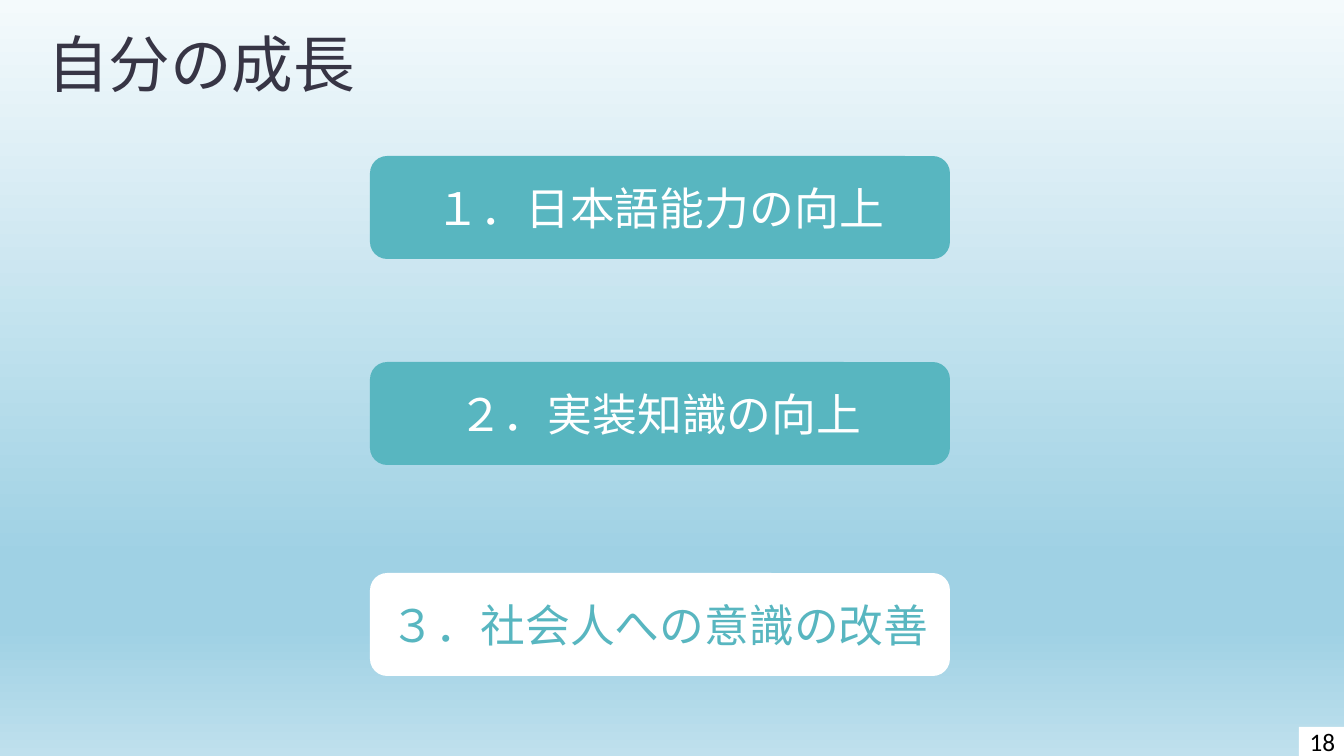
from copy import deepcopy

from pptx import Presentation
from pptx.dml.color import RGBColor
from pptx.enum.shapes import MSO_SHAPE
from pptx.enum.text import MSO_ANCHOR, MSO_AUTO_SIZE, PP_ALIGN
from pptx.oxml.ns import qn
from pptx.util import Emu, Pt

RECTANGLE, ROUNDED = MSO_SHAPE.RECTANGLE, MSO_SHAPE.ROUNDED_RECTANGLE
MIDDLE, BOTTOM = MSO_ANCHOR.MIDDLE, MSO_ANCHOR.BOTTOM
LEFT, CENTER = PP_ALIGN.LEFT, PP_ALIGN.CENTER
NO_AUTOSIZE = MSO_AUTO_SIZE.NONE

INK = RGBColor(0x37, 0x35, 0x45)
TEAL = RGBColor(0x58, 0xB6, 0xC0)
WHITE = RGBColor(0xFF, 0xFF, 0xFF)
BLACK = RGBColor(0x00, 0x00, 0x00)
MIST = RGBColor(0xF4, 0xFA, 0xFC)
SKY = RGBColor(0x9F, 0xD1, 0xE4)
PALE_SKY = RGBColor(0xBF, 0xE0, 0xED)

BODY_FONT, JAPANESE_FONT = "Calibri", "Noto Sans CJK JP"
PX = 914400 / 100.8


def write(box, text, font, size, color, align, anchor):
    frame = box.text_frame
    frame.word_wrap = True
    frame.auto_size = NO_AUTOSIZE
    frame.vertical_anchor = anchor
    para = frame.paragraphs[0]
    para.alignment = align
    span = para.add_run()
    span.text = text
    span.font.name = font
    span.font.size = Pt(size)
    span.font.color.rgb = color
    east_asian = span.font.fill._xPr.makeelement(qn("a:ea"), {"typeface": JAPANESE_FONT})
    span._r.rPr.find(qn("a:latin")).addnext(east_asian)
    return para


def add_panel(kind, left, top, width, height, fill, text, size, color):
    panel = page.shapes.add_shape(
        kind, *(Emu(round(n * PX)) for n in (left, top, width, height)))
    panel.shadow.inherit = False
    panel.fill.solid()
    panel.fill.fore_color.rgb = fill
    panel.line.fill.background()
    write(panel, text, BODY_FONT, size, color, CENTER, MIDDLE)
    return panel


deck = Presentation()
deck.slide_width, deck.slide_height = Emu(round(1344 * PX)), Emu(round(756 * PX))
page = deck.slides.add_slide(deck.slide_layouts[5])

# Background gradient, top to bottom
backdrop = page.background.fill
backdrop.gradient()
backdrop.gradient_angle = 270
stop_list = page.element.find(".//" + qn("a:gsLst"))
for _ in range(2):
    stop_list.append(deepcopy(stop_list[0]))
sky_stops = [(0, MIST), (0.74, SKY), (0.83, SKY), (1, PALE_SKY)]
for stop, (position, color) in zip(backdrop.gradient_stops, sky_stops):
    stop.position = position
    stop.color.rgb = color

# Title
title = page.shapes.title
title.left, title.top, title.width, title.height = (
    Emu(round(n * PX)) for n in (37, 26, 334, 78))
heading = write(title, "自分の成長", JAPANESE_FONT, 44, INK, LEFT, BOTTOM)
heading.line_spacing = 0.8

# Growth points, the current one inverted
growth_points = [
    (156, "１．日本語能力の向上", TEAL, WHITE),
    (362, "２．実装知識の向上", TEAL, WHITE),
    (573, "３．社会人への意識の改善", WHITE, TEAL),
]
for top, text, fill, color in growth_points:
    add_panel(ROUNDED, 370, top, 580, 103, fill, text, 32, color)

# Page number
number = add_panel(RECTANGLE, 1299, 727, 47, 29, WHITE, "18", 18, BLACK)
number.text_frame.margin_left = number.text_frame.margin_right = 0

deck.save("out.pptx")
